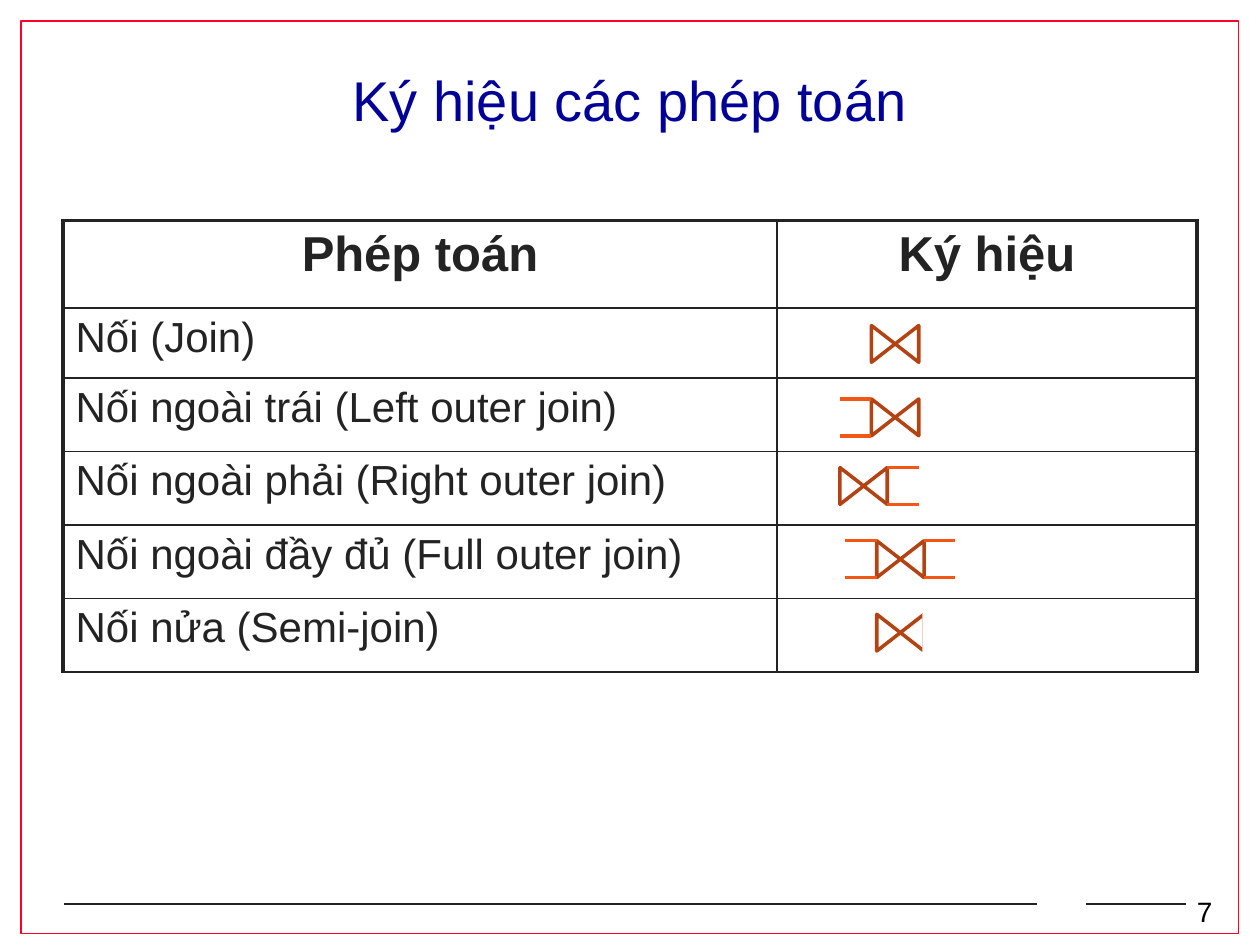
import pptx
import pptx.util
import pptx.dml.color
import pptx.enum.shapes
import pptx.enum.text
import pptx.oxml
import pptx.oxml.ns

Pt = pptx.util.Pt
Shape = pptx.enum.shapes.MSO_SHAPE
Align = pptx.enum.text.PP_ALIGN
Anchor = pptx.enum.text.MSO_ANCHOR

INK, RED, NAVY, BLACK, WHITE = "232323", "FC0128", "000099", "000000", "FFFFFF"
RUST, ORANGE = "B44314", "F35715"
THIN, THICK = 1, 2.25

HEADINGS = ("Phép toán", "Ký hiệu")
# operation, centre of its symbol, sides with prongs (-1 left, 1 right), open right side
OPERATIONS = [
    ("Nối (Join)", (511.5, 196.5), (), False),
    ("Nối ngoài trái (Left outer join)", (511.5, 238.5), (-1,), False),
    ("Nối ngoài phải (Right outer join)", (493.5, 277.7), (1,), False),
    ("Nối ngoài đầy đủ (Full outer join)", (514.5, 319.5), (-1, 1), False),
    ("Nối nửa (Semi-join)", (514.5, 361.5), (), True),
]


def rgb(value):
    return pptx.dml.color.RGBColor.from_string(value)


class Deck:
    font = "Arial"

    def __init__(self, width, height):
        self.file = pptx.Presentation()
        self.file.slide_width, self.file.slide_height = Pt(width), Pt(height)
        self.slide = self.file.slides.add_slide(self.file.slide_layouts[6])
        self.shapes = self.slide.shapes

    def set_words(self, frame, words, size, color, align=Align.LEFT, bold=False):
        paragraph = frame.paragraphs[0]
        paragraph.text, paragraph.alignment = words, align
        font = paragraph.font
        font.name, font.size, font.bold = self.font, Pt(size), bold
        font.color.rgb = rgb(color)

    def text(self, box, words, size, color, align=Align.LEFT, anchor=Anchor.TOP, wrap=True):
        frame = self.shapes.add_textbox(*map(Pt, box)).text_frame
        frame.word_wrap, frame.vertical_anchor = wrap, anchor
        self.set_words(frame, words, size, color, align)

    def shape(self, kind, box, fill=None, line=None, weight=1, rotation=0, parent=None):
        shape = (parent or self.shapes).add_shape(kind, *map(Pt, box))
        shape.shadow.inherit = False
        shape.rotation = rotation
        if fill:
            shape.fill.solid()
            shape.fill.fore_color.rgb = rgb(fill)
        else:
            shape.fill.background()
        if line:
            shape.line.color.rgb, shape.line.width = rgb(line), Pt(weight)
        else:
            shape.line.fill.background()

    def line(self, start, end, color, weight=1, parent=None):
        line = (parent or self.shapes).add_connector(
            pptx.enum.shapes.MSO_CONNECTOR.STRAIGHT, *map(Pt, (*start, *end)))
        line.line.color.rgb, line.line.width = rgb(color), Pt(weight)
        line._element.spPr.append(pptx.oxml.parse_xml(
            f"<a:effectLst {pptx.oxml.ns.nsdecls('a')}/>"))

    def join_symbol(self, center, prongs, semi):
        """Draw a bowtie with outer-join prongs, or with its right edge covered."""
        x, y = center
        group = self.shapes.add_group_shape().shapes if prongs or semi else None
        self.shape(Shape.FLOWCHART_COLLATE, (x - 10.5, y - 13.5, 21, 27),
                   line=RUST, weight=2, rotation=90, parent=group)
        for side in prongs:
            for edge in (y - 10.5, y + 10.5):
                self.line((x + side * 13.5, edge), (x + side * 31.5, edge),
                          ORANGE, 2, group)
        if semi:
            self.shape(Shape.RECTANGLE, (x + 12.6, y - 14.5, 12, 30),
                       fill=WHITE, parent=group)

    def borders(self, cell, **weights):
        """Set border weights by side: L, R, T, B."""
        properties = cell._tc.get_or_add_tcPr()
        for position, (side, weight) in enumerate(weights.items()):
            properties.insert(position, pptx.oxml.parse_xml(
                f"<a:ln{side} {pptx.oxml.ns.nsdecls('a')} w='{int(Pt(weight))}'>"
                f"<a:solidFill><a:srgbClr val='{INK}'/></a:solidFill></a:ln{side}>"))

    def table(self, left, top, widths, heights, rows):
        table = self.shapes.add_table(len(rows), len(widths), Pt(left), Pt(top),
                                      Pt(sum(widths)), Pt(sum(heights))).table
        table.first_row = table.horz_banding = False
        for column, width in zip(table.columns, widths):
            column.width = Pt(width)
        for r, (row, height) in enumerate(zip(rows, heights)):
            table.rows[r].height = Pt(height)
            for c, words in enumerate(row):
                cell = table.cell(r, c)
                cell.fill.background()
                self.borders(cell, L=THIN if c else THICK,
                             R=THICK if c == len(widths) - 1 else THIN,
                             T=THIN if r else THICK, B=THIN)
                if r == 0:
                    self.set_words(cell.text_frame, words, 28, INK, Align.CENTER, True)
                else:
                    self.set_words(cell.text_frame, words, 24, INK)


def main():
    deck = Deck(720, 540)
    footer = 516.4
    deck.line((36.7, footer), (138.2, footer), INK)
    deck.shape(Shape.RECTANGLE, (12.2, 12.2, 695.5, 521.3), line=RED)
    deck.text((676.8, 507.6, 33.1, 25.9), "7", 16, BLACK, wrap=False)
    deck.shape(Shape.RECTANGLE, (590.4, 504.7, 31.7, 23.8), WHITE, WHITE, 2.25)
    for start, end in ((133.2, 592.6), (620.6, 677.5)):
        deck.line((start, footer), (end, footer), INK)

    deck.text((54, 36, 612, 41.8), "Ký hiệu các phép toán", 32, NAVY,
              Align.CENTER, Anchor.MIDDLE)
    deck.table(36, 126, (408, 240), (50, 40, 42, 42, 42, 42),
               [HEADINGS] + [(operation, "") for operation, *_ in OPERATIONS])
    for _, center, prongs, semi in OPERATIONS:
        deck.join_symbol(center, prongs, semi)
    deck.file.save("out.pptx")


if __name__ == "__main__":
    main()
